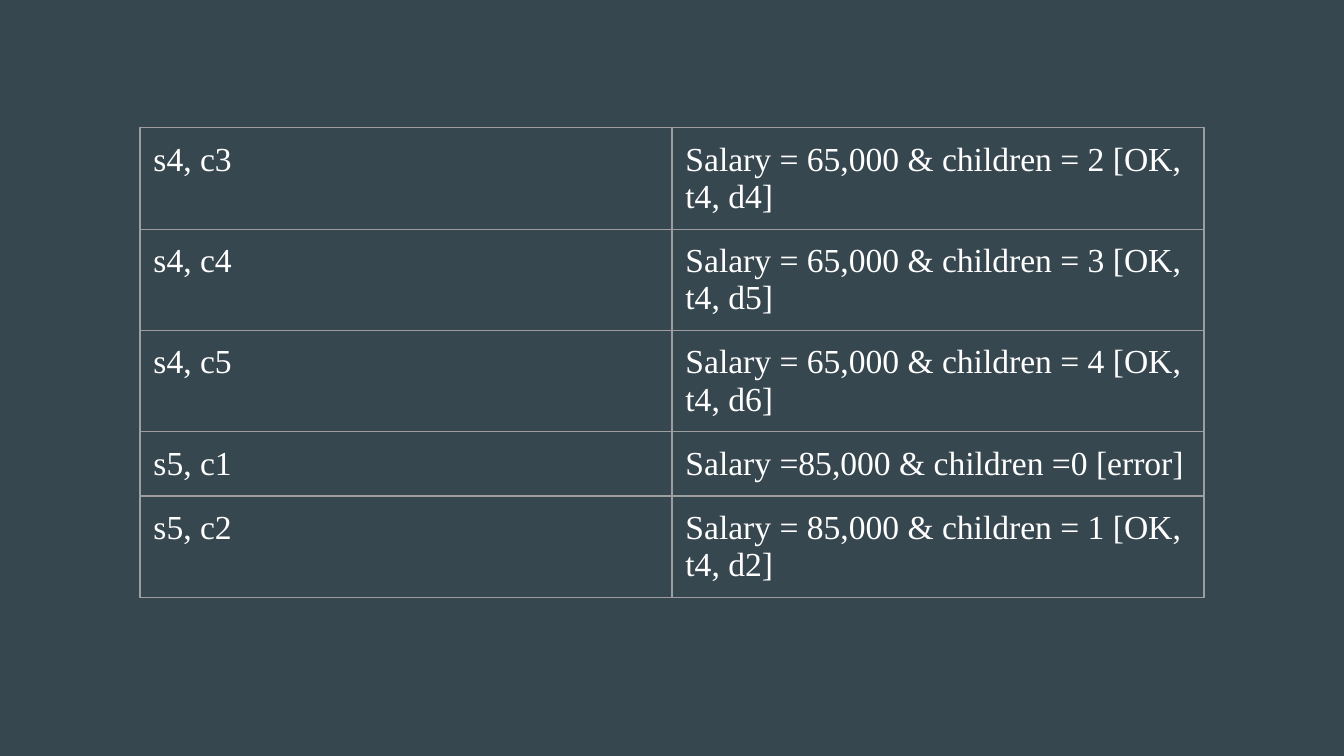
"""Build a slide with a table of salary and children test cases."""
from dataclasses import dataclass

from lxml.etree import SubElement
from pptx import Presentation
from pptx.dml.color import RGBColor as RGB
from pptx.oxml.ns import qn
from pptx.util import Pt


@dataclass(frozen=True)
class Theme:
    background: str = "37474F"
    text: str = "FFFFFF"
    border: str = "9E9E9E"
    font: str = "Times New Roman"
    text_size: float = 18
    border_width: float = 0.75
    cell_margin: float = 7.2


class SlideBuilder:
    def __init__(self, presentation, theme):
        self.theme = theme
        self.slide = presentation.slides.add_slide(presentation.slide_layouts[6])
        fill = self.slide.background.fill
        fill.solid()
        fill.fore_color.rgb = RGB.from_string(theme.background)

    def add_table(self, rows, left, top, column_width, row_heights):
        column_count = len(rows[0])
        table = self.slide.shapes.add_table(
            len(rows), column_count, Pt(left), Pt(top),
            Pt(column_width * column_count), Pt(sum(row_heights))).table
        table.first_row = table.horz_banding = False
        for column in table.columns:
            column.width = Pt(column_width)
        for row, height, texts in zip(table.rows, row_heights, rows):
            row.height = Pt(height)
            for cell, text in zip(row.cells, texts):
                self.fill_cell(cell, text)

    def fill_cell(self, cell, text):
        margin = Pt(self.theme.cell_margin)
        cell.margin_left = cell.margin_right = margin
        cell.margin_top = cell.margin_bottom = margin
        cell.text_frame.text = text
        font = cell.text_frame.paragraphs[0].runs[0].font
        font.name = self.theme.font
        font.size = Pt(self.theme.text_size)
        font.color.rgb = RGB.from_string(self.theme.text)
        self.add_borders(cell)
        cell.fill.background()

    def add_borders(self, cell):
        properties = cell._tc.get_or_add_tcPr()
        for side in ("lnL", "lnR", "lnT", "lnB"):
            line = SubElement(properties, qn(f"a:{side}"),
                              w=str(Pt(self.theme.border_width)))
            fill = SubElement(line, qn("a:solidFill"))
            SubElement(fill, qn("a:srgbClr"), val=self.theme.border)


def main():
    presentation = Presentation()
    presentation.slide_width = Pt(720)
    presentation.slide_height = Pt(405)
    test_cases = [
        ("s4, c3", "Salary = 65,000 & children = 2 [OK, t4, d4]"),
        ("s4, c4", "Salary = 65,000 & children = 3 [OK, t4, d5]"),
        ("s4, c5", "Salary = 65,000 & children = 4 [OK, t4, d6]"),
        ("s5, c1", "Salary =85,000 & children =0 [error]"),
        ("s5, c2", "Salary = 85,000 & children = 1 [OK, t4, d2]"),
    ]
    builder = SlideBuilder(presentation, Theme())
    builder.add_table(test_cases, left=75, top=68.5, column_width=285,
                      row_heights=[54, 54, 54, 28, 28])
    presentation.save("out.pptx")


if __name__ == "__main__":
    main()
